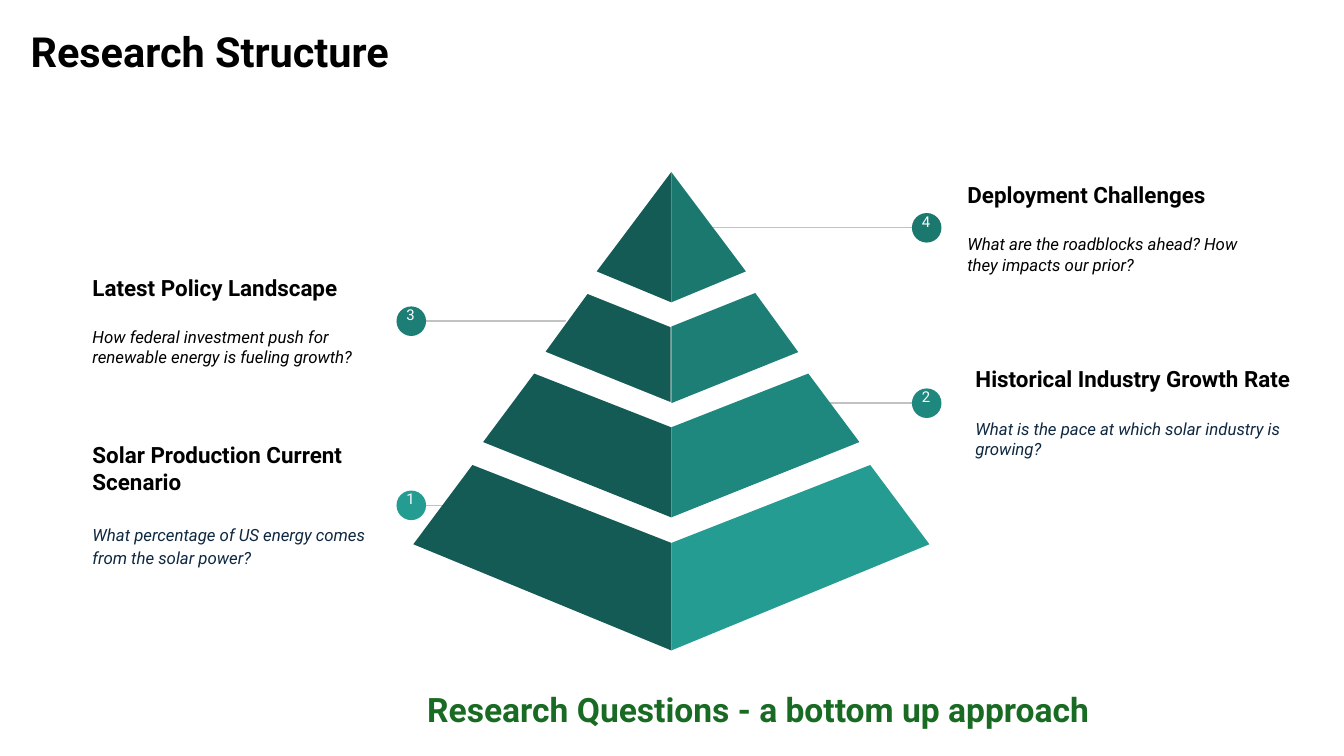
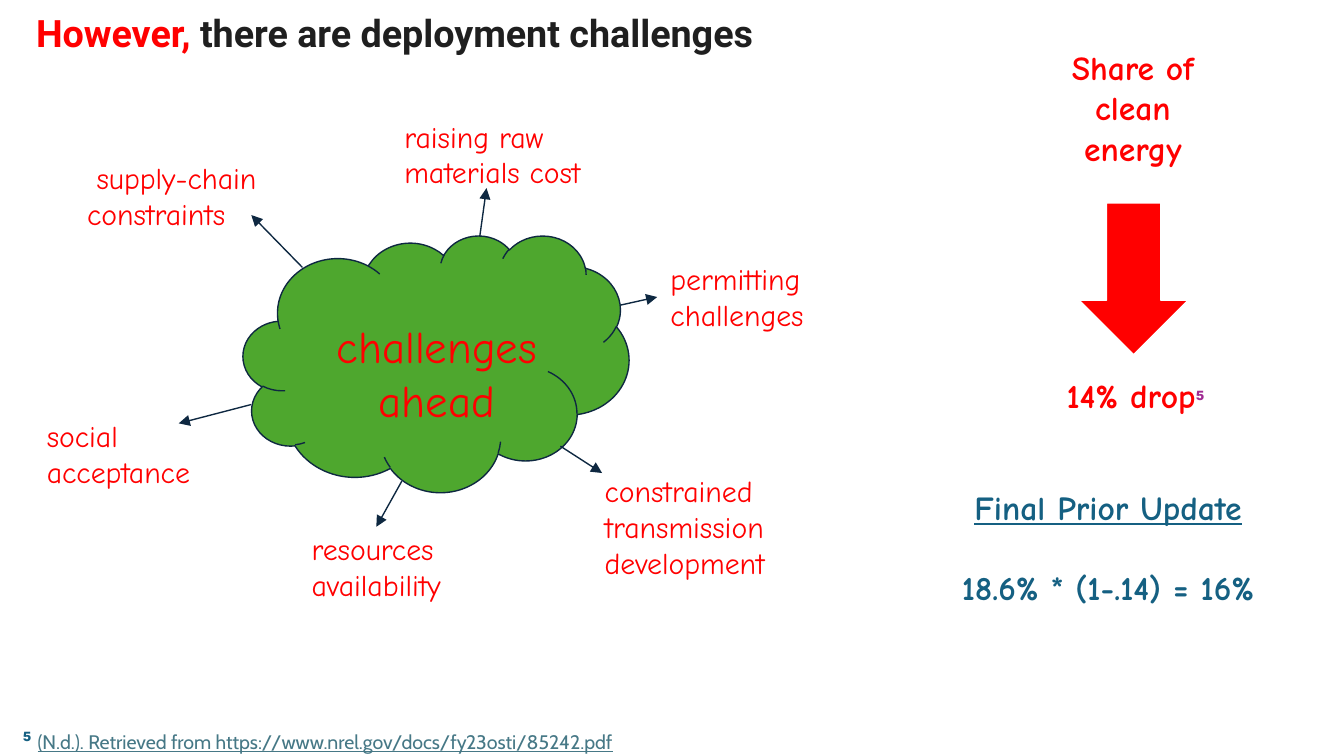
from lxml import etree
from pptx import Presentation
from pptx.dml.color import RGBColor
from pptx.enum.shapes import MSO_CONNECTOR, MSO_SHAPE
from pptx.enum.text import MSO_ANCHOR, PP_ALIGN
from pptx.oxml.ns import qn
from pptx.util import Inches, Pt

CENTER = PP_ALIGN.CENTER
MIDDLE, TOP = MSO_ANCHOR.MIDDLE, MSO_ANCHOR.TOP
OVAL, CLOUD, DOWN_ARROW = MSO_SHAPE.OVAL, MSO_SHAPE.CLOUD, MSO_SHAPE.DOWN_ARROW
STRAIGHT = MSO_CONNECTOR.STRAIGHT

CELL = Inches(0.1)
COLUMNS, ROWS = 100, 56.25
AXIS = 49.95
LINE_WIDTH = Pt(0.75)

COLORS = {
    "black": "000000", "white": "FFFFFF", "ink": "1F1F1F", "navy": "0E2841",
    "red": "FF0000", "green": "196B24", "cloud": "4EA72E", "rule": "C2C2C2",
    "blue": "156082", "purple": "A02B93", "link": "467886",
    "shade": "155B55", "tier1": "249C91", "tier2": "1F887E",
    "tier3": "1D7E75", "tier4": "1B786F",
}


def style(name, size, color, **extra):
    return {"name": name, "size": Pt(size), "color": color, **extra}


HEADING = style("Roboto", 12, "black", bold=True)
QUESTION = style("Roboto", 9, "black", italic=True)
QUESTION_NAVY = {**QUESTION, "color": "navy"}
BADGE = style("Roboto", 8, "white")
CONCLUSION = style("Roboto", 18, "green", bold=True)
CHALLENGE = style("Comic Neue", 16, "red")
CLOUD_LABEL = style("Comic Neue", 24, "red")
SHARE = style("Comic Neue", 18, "red", bold=True)
UPDATE = {**SHARE, "color": "blue"}
NOTE_MARK = style("Roboto", 13, "purple", bold=True)
FOOTNOTE_MARK = {**NOTE_MARK, "color": "blue"}
CITATION = style("Cabin", 10.5, "link", underline=True)


def grid(*cells):
    return [round(cell * CELL) for cell in cells]


def rgb(color):
    return RGBColor.from_string(COLORS[color])


def add_text(slide, box, paragraphs, anchor=TOP, indent=0):
    frame = slide.shapes.add_textbox(*grid(*box)).text_frame
    frame.word_wrap = True
    frame.vertical_anchor = anchor
    for side in ("left", "top", "right", "bottom"):
        setattr(frame, f"margin_{side}", CELL)
    for index, (runs, layout) in enumerate(paragraphs):
        paragraph = frame.add_paragraph() if index else frame.paragraphs[0]
        for key, value in layout.items():
            setattr(paragraph, key, value)
        if indent:
            paragraph._p.get_or_add_pPr().set("indent", str(grid(indent)[0]))
        for words, form in runs:
            run = paragraph.add_run()
            run.text = words
            for key, value in form.items():
                if key == "color":
                    run.font.color.rgb = rgb(value)
                else:
                    setattr(run.font, key, value)


def add_line_of_text(slide, box, words, form, **layout):
    add_text(slide, box, [([(words, form)], layout)])


def add_title(slide, left, top, runs):
    add_text(slide, (left, top, 93.2, 6.3), [(runs, {"line_spacing": 0.9})])


def paint(shape, fill, outline=None):
    shape.shadow.inherit = False
    shape.fill.solid()
    shape.fill.fore_color.rgb = rgb(fill)
    if outline:
        shape.line.color.rgb = rgb(outline)
        shape.line.width = LINE_WIDTH
    else:
        shape.line.fill.background()


def add_figure(slide, preset, box, fill, outline=None):
    paint(slide.shapes.add_shape(preset, *grid(*box)), fill, outline)


def add_link(slide, start, end, color, arrow=False):
    link = slide.shapes.add_connector(STRAIGHT, *grid(*start, *end))
    link.line.color.rgb = rgb(color)
    link.line.width = LINE_WIDTH
    properties = link._element.spPr
    if arrow:
        etree.SubElement(properties.find(qn("a:ln")), qn("a:tailEnd"), type="triangle")
    etree.SubElement(properties, qn("a:effectLst"))


def add_face(slide, corners, fill, outline=None):
    start, *others = [grid(*corner) for corner in corners]
    builder = slide.shapes.build_freeform(*start, scale=1.0)
    builder.add_line_segments(others, close=True)
    paint(builder.convert_to_shape(), fill, outline)


def add_tier(slide, top_half, top, ridge, base_half, base, foot, fill, outline):
    for side, color, edge in ((-1, "shade", outline), (1, fill, None)):
        corners = [(AXIS + side * base_half, base), (AXIS, foot), (AXIS, ridge)]
        if top_half:
            corners.append((AXIS + side * top_half, top))
        add_face(slide, corners, color, edge)


def add_callout(slide, number, badge, edge, box, heading, question, form, spacing):
    x, y = badge
    add_text(slide, box, [
        ([(heading, HEADING)], {}),
        ([(question, form)], {"space_before": Pt(14), "line_spacing": spacing}),
    ], anchor=MIDDLE)
    add_link(slide, badge, (edge, y), "rule")
    add_figure(slide, OVAL, (x - 1.1, y - 1.1, 2.2, 2.2), f"tier{number}")
    add_line_of_text(slide, (x - 1.4, y - 1.8, 2.7, 3.4), str(number), BADGE,
                     alignment=CENTER)


def build_structure(slide):
    add_title(slide, 1.3, 1.35, [("Research Structure", style("Roboto", 22.2, "black", bold=True))])
    left, right = 30.6, 68.95
    callouts = [
        (2, (right, 30), 61.5, (71.6, 24.9, 26.7, 11.5), "Historical Industry Growth Rate",
         "What is the pace at which solar industry is growing?", QUESTION_NAVY, 1.0),
        (1, (left, 37.6), 42.2, (5.9, 31.8, 22.7, 11.5), "Solar Production Current Scenario",
         "What percentage of US energy comes from the solar power?", QUESTION_NAVY, 1.15),
        (4, (right, 16.95), 52.9, (71, 11.2, 22.7, 11.5), "Deployment Challenges",
         "What are the roadblocks ahead? How they impacts our prior?", QUESTION, 1.0),
        (3, (left, 23.9), 42.2, (5.9, 18.1, 22.7, 11.5), "Latest Policy Landscape",
         "How federal investment push for renewable energy is fueling growth?", QUESTION, 1.0),
    ]
    for callout in callouts:
        add_callout(slide, *callout)
    tiers = [
        (14.8, 34.6, 40.4, 19.2, 40.5, 48.4, "tier1", None),
        (10.2, 27.8, 31.8, 14, 32.9, 38.5, "tier2", None),
        (6.25, 21.8, 24.3, 9.45, 26.2, 30, "tier3", "white"),
        (0, 12.8, 12.8, 5.55, 20.2, 22.5, "tier4", None),
    ]
    for tier in tiers:
        add_tier(slide, *tier)
    add_line_of_text(slide, (30.8, 50.3, 57.8, 3.6),
                     "Research Questions - a bottom up approach", CONCLUSION)


def build_challenges(slide):
    lead = style("Roboto", 20.2, "red", bold=True)
    add_title(slide, 1.7, 0.1, [("However, ", lead),
                                ("there are deployment challenges", {**lead, "color": "ink"})])
    add_figure(slide, CLOUD, (18.1, 17.5, 28.7, 19.1), "cloud", "navy")
    add_line_of_text(slide, (23.1, 22.7, 18.8, 4.6), "challenges ahead", CLOUD_LABEL,
                     alignment=CENTER)
    challenges = [
        ("supply-chain constraints", (5.5, 10.9, 23, 7.4), (22.5, 19.9), (18.7, 16), 0.7),
        ("raising raw materials cost", (29.1, 7.8, 20.5, 7.4), (35.7, 17.6), (36.2, 14), 0),
        ("social acceptance", (2.5, 30.1, 15.6, 7.4), (18.7, 30.1), (13.3, 31.5), 0),
        ("resources availability", (22.2, 38.5, 20.5, 7.4), (29.9, 35.8), (28, 39.2), 0),
        ("constrained transmission development", (44, 34.2, 20.5, 10.1),
         (41.7, 33.2), (44.8, 35.2), 0),
        ("permitting challenges", (48.9, 18.4, 20.5, 7.4), (46.2, 22.7), (48.9, 22.1), 0),
    ]
    for words, box, start, end, indent in challenges:
        add_text(slide, box, [([(words, CHALLENGE)], {})], indent=indent)
        add_link(slide, start, end, "navy", arrow=True)

    add_figure(slide, DOWN_ARROW, (80.3, 15.1, 8.1, 11.3), "red", "white")
    centered = {"alignment": CENTER}
    add_line_of_text(slide, (76.5, 2.5, 15.6, 3.9), "Share of clean energy", SHARE, **centered)
    add_text(slide, (76.7, 26.9, 15.6, 3.9),
             [([("14% drop", SHARE), ("⁵", NOTE_MARK)], centered)])
    add_text(slide, (68.4, 35.2, 28.1, 16.9), [
        ([("Final Prior Update", {**UPDATE, "underline": True})], centered),
        ([("18.6% * (1-.14) = 16%", UPDATE)], {**centered, "space_before": Pt(21.7)}),
    ])
    add_text(slide, (0.7, 51.9, 85.2, 2.1), [([
        ("⁵ ", FOOTNOTE_MARK),
        ("(N.d.). Retrieved from https://www.nrel.gov/docs/fy23osti/85242.pdf", CITATION),
    ], {"line_spacing": 1.5})])


def main():
    deck = Presentation()
    deck.slide_width, deck.slide_height = grid(COLUMNS, ROWS)
    blank = deck.slide_layouts[6]
    for build in (build_structure, build_challenges):
        build(deck.slides.add_slide(blank))
    deck.save("out.pptx")


if __name__ == "__main__":
    main()
